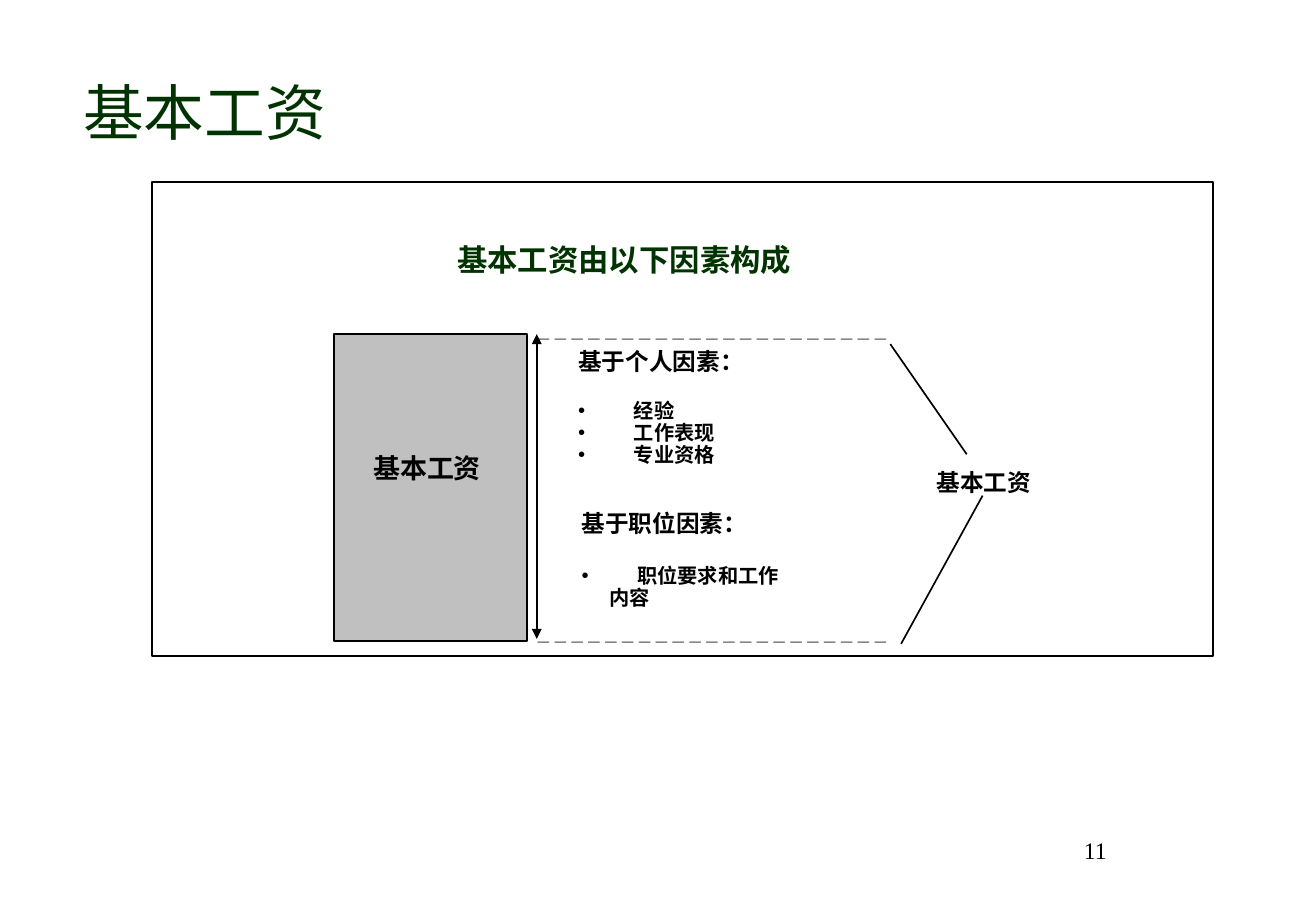
from dataclasses import dataclass

from pptx import Presentation
from pptx.dml.color import RGBColor
from pptx.enum.shapes import MSO_CONNECTOR, MSO_SHAPE
from pptx.enum.text import MSO_ANCHOR, MSO_AUTO_SIZE, PP_ALIGN
from pptx.oxml.ns import qn
from pptx.util import Pt
from lxml.etree import SubElement


@dataclass(frozen=True)
class Theme:
    green: RGBColor = RGBColor(0x00, 0x33, 0x00)
    black: RGBColor = RGBColor(0x00, 0x00, 0x00)
    white: RGBColor = RGBColor(0xFF, 0xFF, 0xFF)
    gray: RGBColor = RGBColor(0xC0, 0xC0, 0xC0)
    title_font: str = "Montserrat"
    body_font: str = "Arial"
    number_font: str = "Times New Roman"
    title_size: int = 36
    subtitle_size: int = 18
    block_size: int = 16
    heading_size: int = 14
    item_size: int = 12
    line_width: int = 1
    line_spacing: float = 0.9
    hanging: float = 16.5


THEME = Theme()
DASHES = " ".join("_" * 21)


def set_format(target, values):
    for name, value in values.items():
        setattr(target, name, value)


def font_values(size, **changes):
    values = {"name": THEME.body_font, "size": Pt(size), "bold": True}
    return values | changes


def add_span(para, text, size, color=THEME.black, **changes):
    span = para.add_run()
    span.text = text
    set_format(span.font, font_values(size, **changes))
    span.font.color.rgb = color


def add_text_box(page, left, top, width, height, **frame_values):
    box = page.shapes.add_textbox(Pt(left), Pt(top), Pt(width), Pt(height))
    set_format(box.text_frame, {"word_wrap": True} | frame_values)
    return box.text_frame


def add_label(page, area, text, size, color=THEME.black, para_values=None,
              font_changes=None, **frame_values):
    frame = add_text_box(page, *area, **frame_values)
    para = frame.paragraphs[0]
    set_format(para, {"line_spacing": THEME.line_spacing} | (para_values or {}))
    add_span(para, text, size, color, **(font_changes or {}))


def add_bullet(para):
    properties = para._p.get_or_add_pPr()
    properties.set("marL", str(Pt(THEME.hanging)))
    properties.set("indent", str(-Pt(THEME.hanging)))
    SubElement(properties, qn("a:buFont"), typeface=THEME.body_font)
    SubElement(properties, qn("a:buChar"), char="•")
    stops = SubElement(properties, qn("a:tabLst"))
    for step in (1, 2):
        SubElement(stops, qn("a:tab"), pos=str(Pt(THEME.hanging * step)), algn="l")


def add_factor_list(page, area, heading, items, heading_gap):
    frame = add_text_box(page, *area)
    para = frame.paragraphs[0]
    para.line_spacing = THEME.line_spacing
    add_span(para, heading, THEME.heading_size)
    for position, item in enumerate(items):
        para = frame.add_paragraph()
        gap = 0 if position else heading_gap
        set_format(para, {"line_spacing": THEME.line_spacing,
                          "space_before": Pt(gap)})
        add_bullet(para)
        add_span(para, "\t" + item, THEME.item_size)


def add_block(page, left, top, width, height, fill):
    block = page.shapes.add_shape(MSO_SHAPE.RECTANGLE, Pt(left), Pt(top),
                                  Pt(width), Pt(height))
    block.shadow.inherit = False
    block.fill.solid()
    block.fill.fore_color.rgb = fill
    block.line.color.rgb = THEME.black
    block.line.width = Pt(THEME.line_width)


def add_line(page, start, end, arrows=()):
    line = page.shapes.add_connector(MSO_CONNECTOR.STRAIGHT,
                                     *map(Pt, start + end))
    line.line.color.rgb = THEME.black
    line.line.width = Pt(THEME.line_width)
    outline = line.line._get_or_add_ln()
    for arrow in arrows:
        SubElement(outline, qn(arrow), type="triangle")
    SubElement(line._element.spPr, qn("a:effectLst"))


def format_title(page, text):
    title = page.shapes.title
    set_format(title, {"left": Pt(42), "top": Pt(42),
                       "width": Pt(318), "height": Pt(48)})
    set_format(title.text_frame, {"vertical_anchor": MSO_ANCHOR.MIDDLE,
                                  "auto_size": MSO_AUTO_SIZE.NONE})
    para = title.text_frame.paragraphs[0]
    para.alignment = PP_ALIGN.LEFT
    add_span(para, text, THEME.title_size, THEME.green,
             name=THEME.title_font, bold=False)


def main():
    deck = Presentation()
    set_format(deck, {"slide_width": Pt(780.13), "slide_height": Pt(540)})
    page = deck.slides.add_slide(deck.slide_layouts[5])

    format_title(page, "基本工资")
    add_block(page, 90, 108, 629.3, 280.8, THEME.white)
    add_label(page, (186, 144, 368, 22.3), "基本工资由以下因素构成",
              THEME.subtitle_size, THEME.green,
              {"alignment": PP_ALIGN.CENTER}, vertical_anchor=MSO_ANCHOR.MIDDLE)

    add_block(page, 198, 198, 114.5, 182.2, THEME.gray)
    add_label(page, (214.2, 264.2, 84, 26), "基本工资", THEME.block_size,
              para_values={"line_spacing": 1.0})
    add_line(page, (318.2, 378.7), (318.2, 198), ("a:headEnd", "a:tailEnd"))

    for top in (186, 366):
        add_label(page, (311.8, top, 230, 20.2), DASHES, THEME.item_size)
    add_factor_list(page, (335.7, 204, 150, 76.3), "基于个人因素：",
                    ["经验", "工作表现", "专业资格"], 15)
    add_factor_list(page, (337.7, 300.2, 139, 62), "基于职位因素：",
                    ["职位要求和工作内容"], 16.7)

    add_line(page, (527.8, 204), (573.1, 269.3))
    add_line(page, (534.2, 381.6), (582.5, 293.8))
    add_label(page, (548.2, 275.8, 76, 22.3), "基本工资", THEME.heading_size)
    add_label(page, (532.8, 492, 130.3, 36), "11", THEME.heading_size,
              para_values={"alignment": PP_ALIGN.RIGHT, "line_spacing": 1.0},
              font_changes={"name": THEME.number_font, "bold": False})
    deck.save("out.pptx")


if __name__ == "__main__":
    main()
